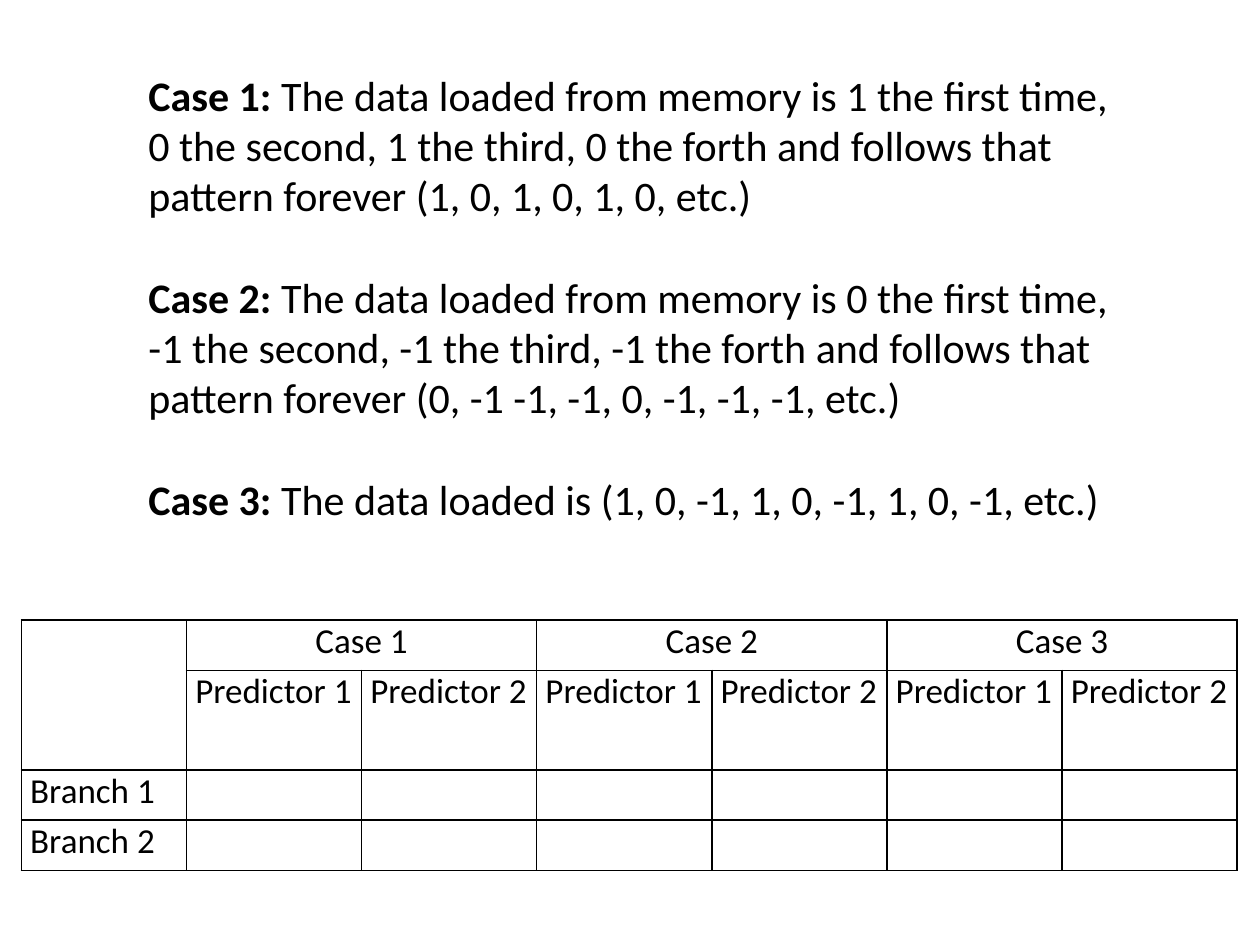
from dataclasses import dataclass

from lxml.etree import SubElement
from pptx import Presentation
from pptx.dml.color import RGBColor as Color
from pptx.enum.text import MSO_AUTO_SIZE as Fit, PP_ALIGN as Align
from pptx.oxml.ns import qn
from pptx.util import Inches, Pt


@dataclass(frozen=True)
class Theme:
    font: str = "Calibri"
    ink: str = "000000"
    body: int = 24
    cell: int = 20
    gap: int = 29
    rule: int = 1


THEME = Theme()
CASES = [
    ("Case 1: ", "The data loaded from memory is 1 the first time, 0 the second, "
     "1 the third, 0 the forth and follows that pattern forever (1, 0, 1, 0, 1, 0, etc.)"),
    ("Case 2: ", "The data loaded from memory is 0 the first time, -1 the second, "
     "-1 the third, -1 the forth and follows that pattern forever "
     "(0, -1 -1, -1, 0, -1, -1, -1, etc.)"),
    ("Case 3: ", "The data loaded is (1, 0, -1, 1, 0, -1, 1, 0, -1, etc.)"),
]
HEADS = ["Case 1", "Case 2", "Case 3"]
PREDS = ["Predictor 1", "Predictor 2"]
ROWS = ["Branch 1", "Branch 2"]
LABEL_W, PRED_W = 1.31, 1.39
HEIGHTS = [0.4, 0.79, 0.4, 0.4]


def add_run(para, text, size, bold=False):
    run = para.add_run()
    run.text = text
    font = run.font
    font.name, font.size, font.bold = THEME.font, Pt(size), bold
    font.color.rgb = Color.from_string(THEME.ink)


def add_cases(slide, box):
    frame = slide.shapes.add_textbox(*map(Inches, box)).text_frame
    frame.word_wrap = True
    frame.auto_size = Fit.SHAPE_TO_FIT_TEXT
    for i, (name, text) in enumerate(CASES):
        para = frame.add_paragraph() if i else frame.paragraphs[0]
        para.space_before = Pt(THEME.gap if i else 0)
        add_run(para, name, THEME.body, bold=True)
        add_run(para, text, THEME.body)


def style_cell(cell):
    """Give a cell thin rules on all sides, no fill and tight margins."""
    props = cell._tc.get_or_add_tcPr()
    for side in ("lnL", "lnR", "lnT", "lnB"):
        line = SubElement(props, qn(f"a:{side}"), w=str(Pt(THEME.rule)))
        fill = SubElement(line, qn("a:solidFill"))
        SubElement(fill, qn("a:srgbClr"), val=THEME.ink)
    cell.fill.background()
    cell.margin_left = cell.margin_right = Inches(0.07)
    cell.margin_top = cell.margin_bottom = 0
    cell.text_frame.paragraphs[0].font.size = Pt(THEME.cell)


def write(cell, text, align=Align.LEFT):
    para = cell.text_frame.paragraphs[0]
    para.alignment = align
    add_run(para, text, THEME.cell)


def add_grid(slide, box):
    span = len(PREDS)
    count = 1 + len(HEADS) * span
    table = slide.shapes.add_table(len(HEIGHTS), count, *map(Inches, box)).table
    table.first_row = table.horz_banding = False
    for i, col in enumerate(table.columns):
        col.width = Inches(PRED_W if i else LABEL_W)
    for row, height in zip(table.rows, HEIGHTS):
        row.height = Inches(height)
    for cell in table.iter_cells():
        style_cell(cell)

    table.cell(0, 0).merge(table.cell(1, 0))
    for i, head in enumerate(HEADS):
        left = 1 + i * span
        table.cell(0, left).merge(table.cell(0, left + span - 1))
        write(table.cell(0, left), head, Align.CENTER)
        for j, pred in enumerate(PREDS):
            write(table.cell(1, left + j), pred)
    for i, name in enumerate(ROWS, 2):
        write(table.cell(i, 0), name)


def main():
    deck = Presentation()
    deck.slide_width, deck.slide_height = Inches(10), Inches(7.5)
    slide = deck.slides.add_slide(deck.slide_layouts[6])
    add_cases(slide, (1.08, 0.5, 7.83, 3.74))
    add_grid(slide, (0.17, 4.92, 9.67, 1.98))
    deck.save("out.pptx")


if __name__ == "__main__":
    main()
